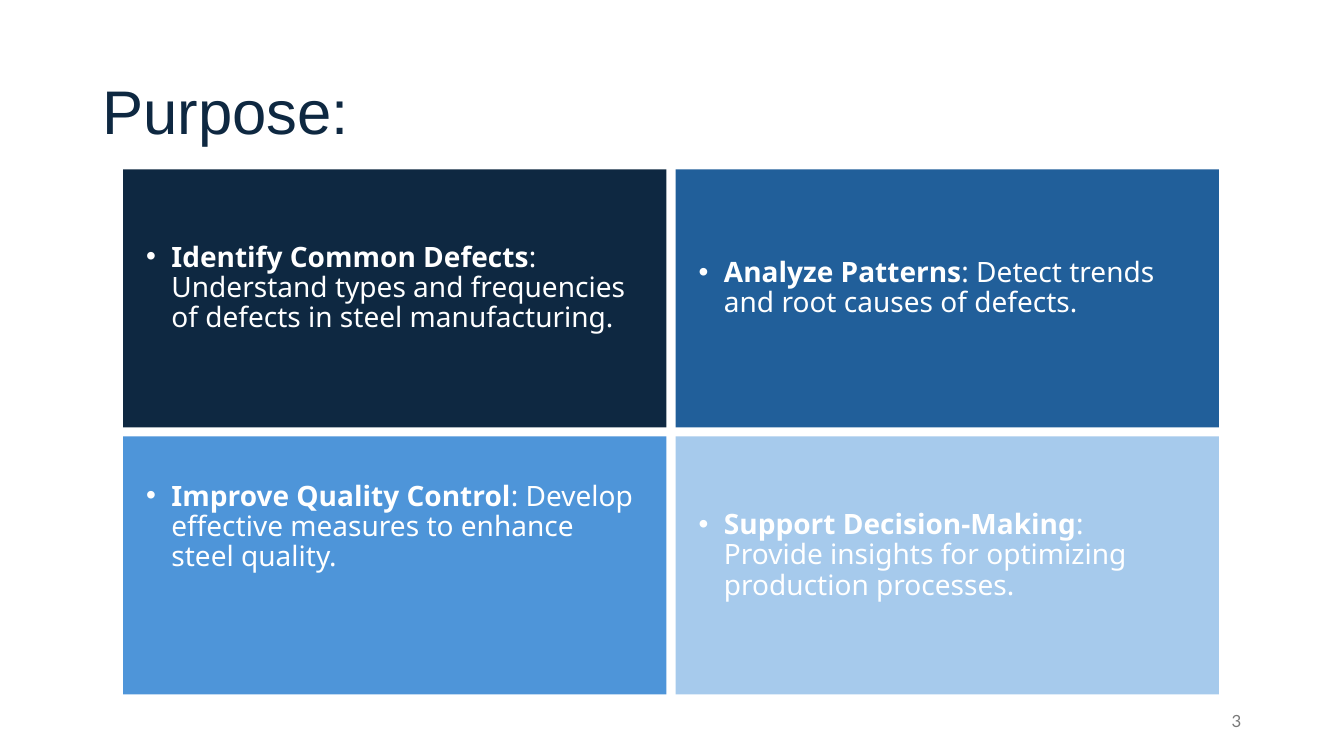
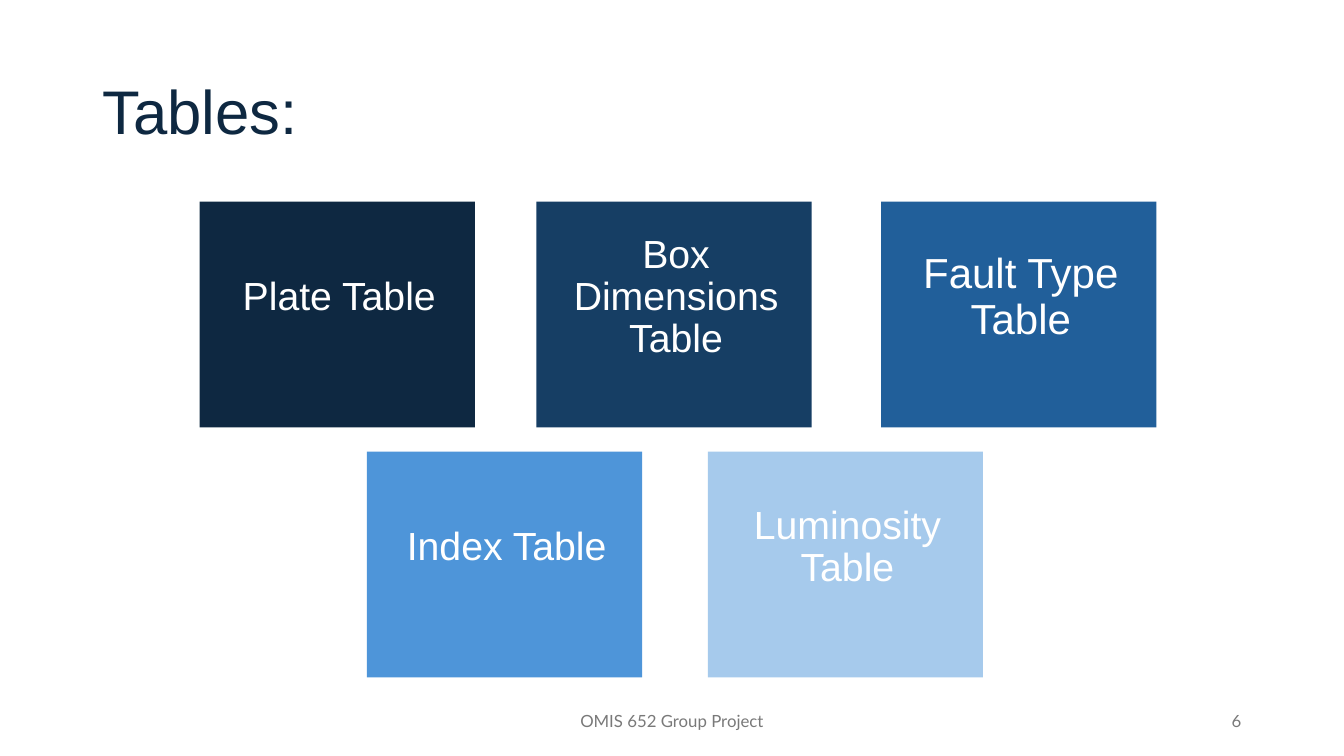
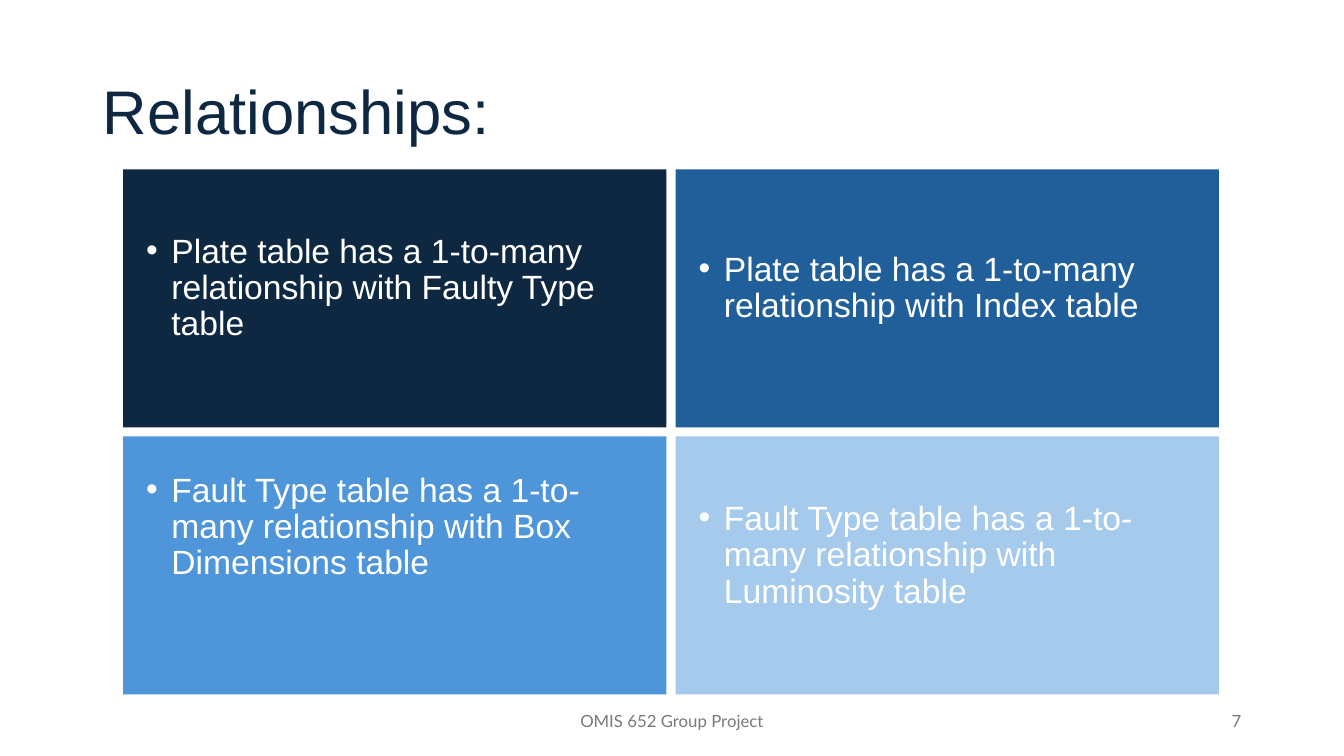
import dataclasses

import pptx
import pptx.dml.color
import pptx.enum.shapes
import pptx.enum.text
import pptx.util
import lxml.etree

Inches = pptx.util.Inches
Align = pptx.enum.text.PP_ALIGN


@dataclasses.dataclass(frozen=True)
class Theme:
    navy: str = "0E2841"
    deep: str = "163E64"
    blue: str = "215F9A"
    sky: str = "4E95D9"
    pale: str = "A6CAEC"
    white: str = "FFFFFF"
    grey: str = "797979"
    heading_font: str = "Arial"
    body_font: str = "Noto Sans"
    footer_font: str = "Lato"
    title_size: int = 44
    large_size: int = 30
    label_size: int = 28
    bullet_size: int = 24
    body_size: int = 20
    footer_size: int = 12
    leading: float = 1.08


theme = Theme()
WIDTH, HEIGHT = 13.33, 7.5
deck = pptx.Presentation()
deck.slide_width, deck.slide_height = Inches(WIDTH), Inches(HEIGHT)


def add_bullet(para):
    """Give the paragraph a round bullet with a hanging indent."""
    properties = para._p.get_or_add_pPr()
    properties.set("marL", str(Inches(0.25)))
    properties.set("indent", str(-Inches(0.25)))
    for tag, name, value in (("buFont", "typeface", "Arial"), ("buChar", "char", "•")):
        lxml.etree.SubElement(properties, pptx.oxml.ns.qn("a:" + tag)).set(name, value)


def add_text(page, text, place, *, size, font=theme.heading_font, color=theme.white,
             align=Align.LEFT, fill=None, insets=(0.1, 0.05, 0.1, 0.05),
             bullet=False, leading=theme.leading):
    """Write text in a box, or in a filled card; a lead that ends at a colon is bold in body font."""
    area = [Inches(length) for length in place]
    if fill:
        box = page.shapes.add_shape(pptx.enum.shapes.MSO_SHAPE.RECTANGLE, *area)
        box.shadow.inherit = False
        box.fill.solid()
        box.fill.fore_color.rgb = pptx.dml.color.RGBColor.from_string(fill)
        box.line.fill.background()
    else:
        box = page.shapes.add_textbox(*area)
    frame = box.text_frame
    frame.word_wrap = True
    frame.vertical_anchor = pptx.enum.text.MSO_ANCHOR.MIDDLE
    (frame.margin_left, frame.margin_top,
     frame.margin_right, frame.margin_bottom) = map(Inches, insets)
    para = frame.paragraphs[0]
    para.alignment = align
    if leading:
        para.line_spacing = pptx.util.Pt(round(size * leading, 1))
    if bullet:
        add_bullet(para)
    lead, colon, rest = text.partition(": ")
    for words, bold in ((lead, bool(colon)), (colon + rest, False)):
        if words:
            span = para.add_run()
            span.text = words
            span.font.size = pptx.util.Pt(size)
            span.font.name = font
            span.font.bold = bold
            span.font.color.rgb = pptx.dml.color.RGBColor.from_string(color)


# Title and footer of every slide
pages = []
for title, number, footer in (("Purpose:", "3", None),
                              ("Tables:", "6", "OMIS 652 Group Project"),
                              ("Relationships:", "7", "OMIS 652 Group Project")):
    page = deck.slides.add_slide(deck.slide_layouts[6])
    pages.append(page)
    margin = 0.069 * WIDTH
    add_text(page, title, (margin, 0.4, WIDTH - 2 * margin, 1.45),
             size=theme.title_size, color=theme.navy)
    footer_style = dict(size=theme.footer_size, font=theme.footer_font,
                        color=theme.grey, leading=None)
    footer_top, footer_height = 6.95, 0.4
    add_text(page, number, (WIDTH - margin - 3, footer_top, 3, footer_height),
             align=Align.RIGHT, **footer_style)
    if footer:
        add_text(page, footer, ((WIDTH - 4.5) / 2, footer_top, 4.5, footer_height),
                 align=Align.CENTER, **footer_style)
purpose, tables, relationships = pages

# Two-by-two cards, row by row
card_width, card_height, gap = 5.39, 2.56, 0.09
card_fills = (theme.navy, theme.blue, theme.sky, theme.pale)
card_lifts = (0.2, 0.2, 0.76, 0.2)
card_slides = (
    (purpose, theme.body_font, theme.body_size, (
        "Identify Common Defects: Understand types and frequencies of defects in steel manufacturing.",
        "Analyze Patterns: Detect trends and root causes of defects.",
        "Improve Quality Control: Develop effective measures to enhance steel quality.",
        "Support Decision-Making: Provide insights for optimizing production processes.")),
    (relationships, theme.heading_font, theme.bullet_size, (
        "Plate table has a 1-to-many relationship with Faulty Type table",
        "Plate table has a 1-to-many relationship with Index table",
        "Fault Type table has a 1-to-many relationship with Box Dimensions table",
        "Fault Type table has a 1-to-many relationship with Luminosity table")),
)
for page, font, size, texts in card_slides:
    for index, (text, fill, lift) in enumerate(zip(texts, card_fills, card_lifts)):
        row, column = divmod(index, 2)
        place = (1.22 + column * (card_width + gap), 1.68 + row * (card_height + gap),
                 card_width, card_height)
        add_text(page, text, place, size=size, font=font, fill=fill, bullet=True,
                 insets=(0.23, 0, 0.31, lift))

# Table names: three above, two below
upper, lower = 2, 4.48
for text, left, top, fill, size in (
        ("Plate Table", 1.98, upper, theme.navy, theme.label_size),
        ("Box Dimensions Table", 5.32, upper, theme.deep, theme.label_size),
        ("Fault Type Table", 8.74, upper, theme.blue, theme.large_size),
        ("Index Table", 3.64, lower, theme.sky, theme.label_size),
        ("Luminosity Table", 7.02, lower, theme.pale, theme.label_size)):
    add_text(tables, text, (left, top, 2.73, 2.24), size=size, fill=fill,
             align=Align.CENTER, insets=(0.18, 0, 0.14, 0.34))

deck.save("out.pptx")
